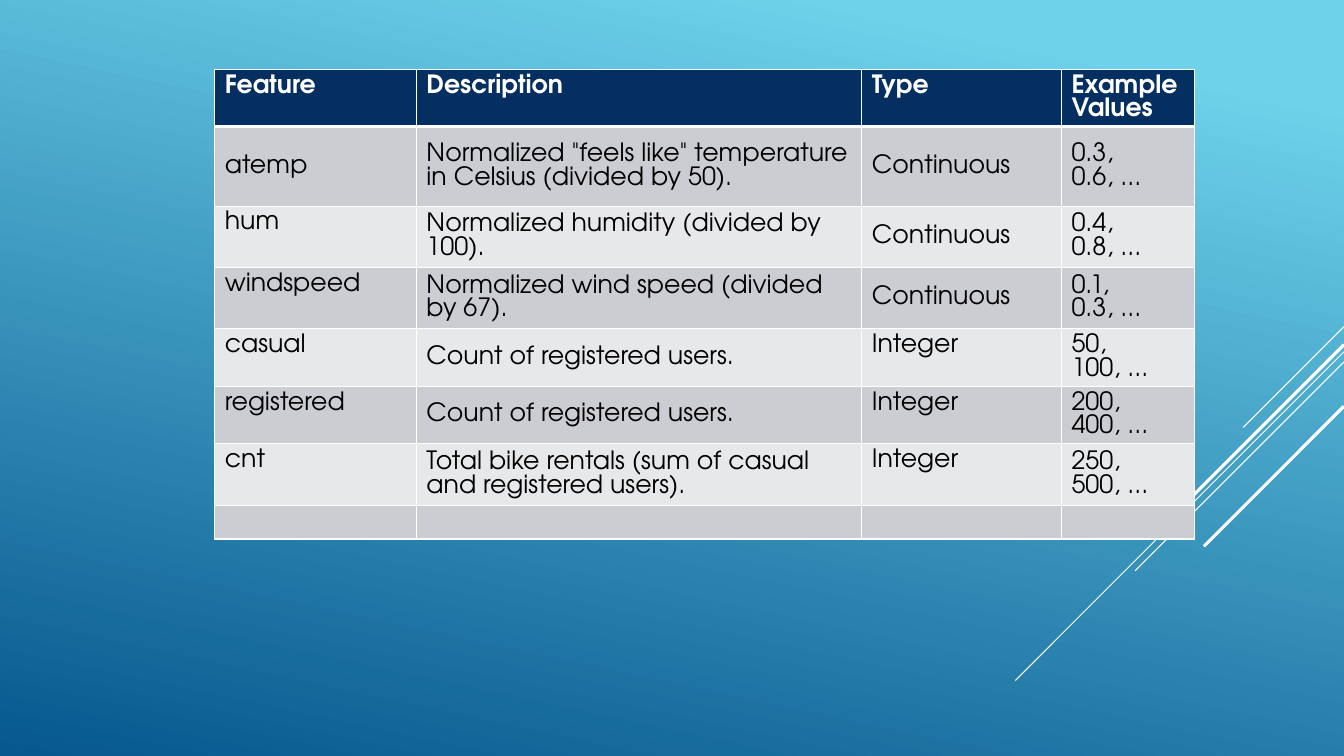
from lxml import etree
from pptx import Presentation
from pptx.dml.color import RGBColor
from pptx.enum.shapes import MSO_CONNECTOR
from pptx.enum.text import MSO_ANCHOR
from pptx.oxml import parse_xml
from pptx.oxml.ns import qn
from pptx.util import Pt

FONT = "TeX Gyre Adventor"
COLOURS = {
    "sky": "6ED2EB",
    "ocean": "06588E",
    "header": "052F61",
    "odd": "CCCDD2",
    "even": "E7E8EA",
    "white": "FFFFFF",
    "black": "000000",
}
DRAWING = "http://schemas.openxmlformats.org/drawingml/2006/main"


def colour(name):
    return RGBColor.from_string(COLOURS[name])


def add_borders(cell, bottom_width):
    """Draw white borders, 1 pt wide except at the bottom."""
    properties = cell._tc.get_or_add_tcPr()
    for index, side in enumerate("LRTB"):
        width = Pt(bottom_width if side == "B" else 1)
        properties.insert(index, parse_xml(
            f'<a:ln{side} xmlns:a="{DRAWING}" w="{width}"><a:solidFill>'
            f'<a:srgbClr val="{COLOURS["white"]}"/></a:solidFill></a:ln{side}>'))


deck = Presentation()
deck.slide_width, deck.slide_height = Pt(960), Pt(540)
page = deck.slides.add_slide(deck.slide_layouts[6])

# Background
background = page.background.fill
background.gradient()
background.gradient_angle = 258
for stop, name, position in zip(background.gradient_stops, ("sky", "ocean"), (0.1, 1)):
    stop.color.rgb = colour(name)
    stop.position = position

# Diagonal lines at 45 degrees: height at the right edge, run, width
diagonals = [
    (233.3, 72, 0.75),
    (251.3, 234.7, 0.75),
    (258.5, 149.2, 0.75),
    (246.2, 137.5, 2.25),
    (290.2, 100, 2.25),
]
for top, run, width in diagonals:
    line = page.shapes.add_connector(
        MSO_CONNECTOR.STRAIGHT, Pt(960), Pt(top), Pt(960 - run), Pt(top + run))
    line.line.color.rgb = colour("white")
    line.line.width = Pt(width)
    etree.SubElement(line._element.spPr, qn("a:effectLst"))

# Feature table
rows = [
    ("Feature", "Description", "Type", "Example Values"),
    ("atemp", 'Normalized "feels like" temperature in Celsius (divided by 50).',
     "Continuous", "0.3, 0.6, ..."),
    ("hum", "Normalized humidity (divided by 100).", "Continuous", "0.4, 0.8, ..."),
    ("windspeed", "Normalized wind speed (divided by 67).", "Continuous", "0.1, 0.3, ..."),
    ("casual", "Count of registered users.", "Integer", "50, 100, ..."),
    ("registered", "Count of registered users.", "Integer", "200, 400, ..."),
    ("cnt", "Total bike rentals (sum of casual and registered users).",
     "Integer", "250, 500, ..."),
    ("", "", "", ""),
]
widths = [144, 318.2, 142.6, 95]
heights = [40.7, 57, 43.7, 43.7, 41.3, 41, 44, 23.8]
table = page.shapes.add_table(
    len(rows), len(widths), Pt(153.4), Pt(49.7), Pt(sum(widths)), Pt(sum(heights))).table
for column, width in zip(table.columns, widths):
    column.width = Pt(width)

for row_index, (texts, height) in enumerate(zip(rows, heights)):
    table.rows[row_index].height = Pt(height)
    is_header = row_index == 0
    fill_name = "header" if is_header else ("even", "odd")[row_index % 2]
    for column_index, text in enumerate(texts):
        cell = table.cell(row_index, column_index)
        cell.fill.solid()
        cell.fill.fore_color.rgb = colour(fill_name)
        add_borders(cell, 3 if is_header else 1)
        at_top = is_header or text == "Integer" or (column_index == 0 and text != "atemp")
        cell.vertical_anchor = MSO_ANCHOR.TOP if at_top else MSO_ANCHOR.MIDDLE

        para = cell.text_frame.paragraphs[0]
        if not text:
            end = etree.SubElement(para._p, qn("a:endParaRPr"), sz="1800")
            etree.SubElement(end, qn("a:latin"), typeface=FONT)
            continue
        para.text = text
        font = para.runs[0].font
        font.name, font.size, font.bold = FONT, Pt(18), is_header
        font.color.rgb = colour("white" if is_header else "black")

deck.save("out.pptx")
